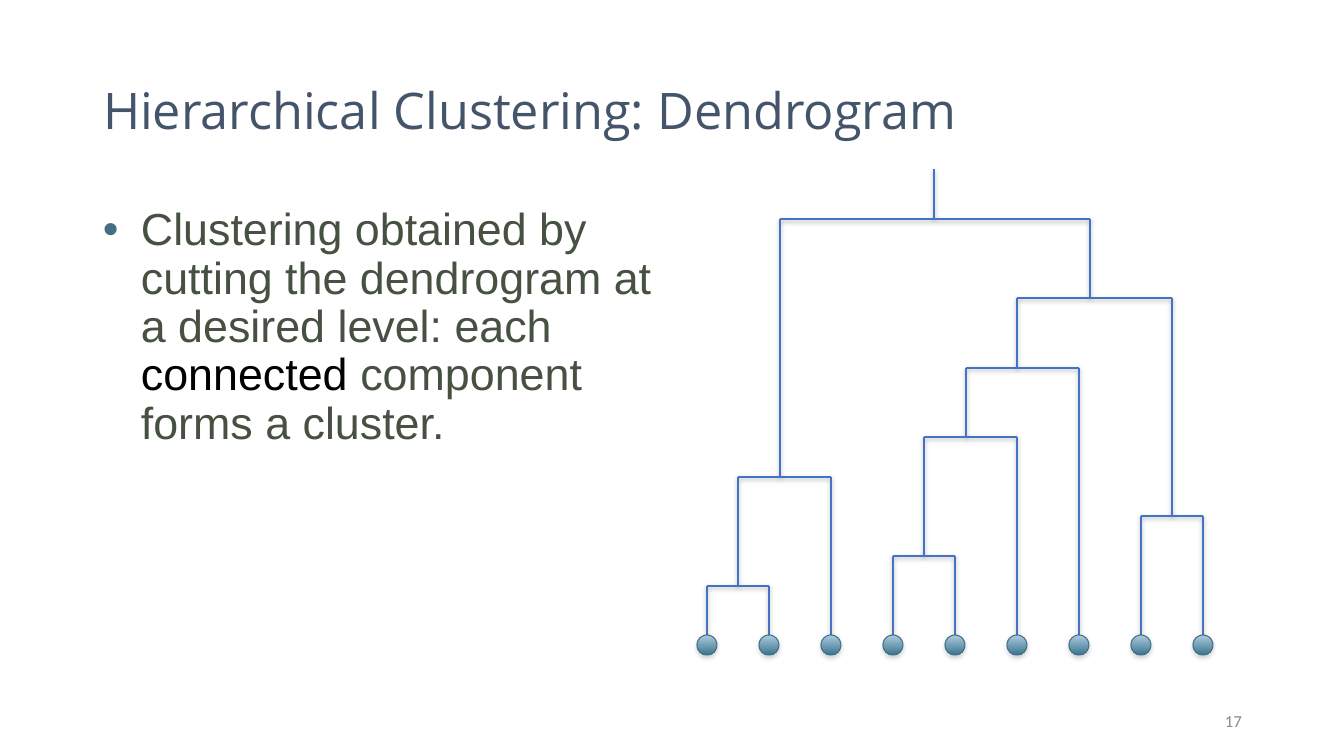
from dataclasses import dataclass

from lxml import etree
from pptx import Presentation
from pptx.dml.color import RGBColor
from pptx.enum.shapes import MSO_CONNECTOR, MSO_SHAPE
from pptx.enum.text import MSO_ANCHOR, MSO_AUTO_SIZE, PP_ALIGN
from pptx.oxml.ns import qn
from pptx.util import Emu, Pt

SCALE = 914400 / 100.8
LINE = MSO_CONNECTOR.STRAIGHT
OVAL = MSO_SHAPE.OVAL
TOP, MIDDLE = MSO_ANCHOR.TOP, MSO_ANCHOR.MIDDLE
LEFT, RIGHT = PP_ALIGN.LEFT, PP_ALIGN.RIGHT
FIXED = MSO_AUTO_SIZE.NONE

SLATE = RGBColor(0x44, 0x54, 0x6A)
GRAY = RGBColor(0x89, 0x89, 0x89)
OLIVE = RGBColor(0x46, 0x51, 0x42)
BLACK = RGBColor(0, 0, 0)
BLUE = RGBColor(0x44, 0x72, 0xC4)
PALE = RGBColor(0xAF, 0xCC, 0xDF)
TEAL = RGBColor(0x39, 0x74, 0x8F)
RIM = RGBColor(0x40, 0x6E, 0x84)
BULLET = RGBColor(0x43, 0x70, 0x85)
SHADE = RGBColor(0x80, 0x80, 0x80)

FLOOR = 635  # where branches meet the leaves
ROOT = 169   # top of the root stem
DOT = 20


@dataclass(frozen=True)
class Leaf:
    x: int
    y: int = FLOOR


@dataclass(frozen=True)
class Merge:
    left: "Leaf | Merge"
    right: "Leaf | Merge"
    x: int  # stem above the joint
    y: int


def px(num: float) -> Emu:
    return Emu(round(num * SCALE))


def shadow(shape, alpha: int, dist: float) -> None:
    """Cast a soft shadow straight down."""
    effects = etree.SubElement(shape._element.spPr, qn("a:effectLst"))
    outer = etree.SubElement(
        effects, qn("a:outerShdw"), blurRad=str(Pt(3.1)), dist=str(Pt(dist)),
        dir="5400000", rotWithShape="0")
    color = etree.SubElement(outer, qn("a:srgbClr"), val=str(SHADE))
    etree.SubElement(color, qn("a:alpha"), val=str(alpha * 1000))


def write(shape, parts: list, box: tuple, *, size: int, font: str,
          align=LEFT, anchor=MIDDLE, lead: float = 1.0, before: int = 0):
    """Place a text shape and fill it with (text, colour) parts."""
    shape.left, shape.top, shape.width, shape.height = map(px, box)
    frame = shape.text_frame
    frame.word_wrap, frame.auto_size = True, FIXED
    frame.vertical_anchor = anchor
    para = frame.paragraphs[0]
    para.alignment, para.line_spacing = align, lead
    para.space_before = Pt(before)
    for text, color in parts:
        run = para.add_run()
        run.text = text
        run.font.size, run.font.name = Pt(size), font
        run.font.color.rgb = color
    return para


def bullet(para, color: RGBColor, indent: int) -> None:
    props = para._p.get_or_add_pPr()
    props.set("marL", str(px(indent)))
    props.set("indent", str(-px(indent)))
    tint = etree.SubElement(props, qn("a:buClr"))
    etree.SubElement(tint, qn("a:srgbClr"), val=str(color))
    etree.SubElement(props, qn("a:buFont"), typeface="Arial")
    etree.SubElement(props, qn("a:buChar"), char="•")


def branch(shapes, x1: int, y1: int, x2: int, y2: int) -> None:
    line = shapes.add_connector(LINE, px(x1), px(y1), px(x2), px(y2))
    line.line.color.rgb, line.line.width = BLUE, Pt(2)
    shadow(line, 38, 1.6)


def grow(shapes, node: Leaf | Merge, top: int) -> None:
    """Draw the stem of a node, then all that hangs below it."""
    branch(shapes, node.x, top, node.x, node.y)
    if isinstance(node, Merge):
        branch(shapes, node.left.x, node.y, node.right.x, node.y)
        grow(shapes, node.left, node.y)
        grow(shapes, node.right, node.y)


def dot(shapes, leaf: Leaf) -> None:
    ball = shapes.add_shape(OVAL, px(leaf.x - DOT / 2), px(leaf.y), px(DOT), px(DOT))
    ball.fill.gradient()
    ball.fill.gradient_angle = 270
    for stop, color, place in zip(ball.fill.gradient_stops, (PALE, TEAL), (0, 1)):
        stop.color.rgb, stop.position = color, place
    ball.line.color.rgb, ball.line.width = RIM, Pt(0.75)
    shadow(ball, 35, 1.8)


# Slide and title
deck = Presentation()
deck.slide_width, deck.slide_height = px(1344), px(756)
slide = deck.slides.add_slide(deck.slide_layouts[5])
write(slide.shapes.title, [("Hierarchical Clustering: Dendrogram", SLATE)],
      (93, 40, 1159, 146), size=36, font="Open Sans", lead=0.9)

# Slide number
number = slide.shapes.add_textbox(0, 0, 0, 0)
write(number, [("17", GRAY)], (950, 701, 302, 40), size=12, font="Calibri", align=RIGHT)

# Dendrogram, built from the leaves up
leaves = [Leaf(707 + 62 * i) for i in range(9)]
pair = Merge(leaves[0], leaves[1], 738, 586)
west = Merge(pair, leaves[2], 780, 477)
core = Merge(leaves[3], leaves[4], 924, 556)
four = Merge(core, leaves[5], 966, 437)
five = Merge(four, leaves[6], 1017, 368)
edge = Merge(leaves[7], leaves[8], 1172, 516)
east = Merge(five, edge, 1090, 298)
root = Merge(west, east, 934, 219)

tree = slide.shapes.add_group_shape()
grow(tree.shapes, root, ROOT)
for leaf in leaves:
    dot(tree.shapes, leaf)

# Body text
body = slide.shapes.add_textbox(0, 0, 0, 0)
para = write(body, [
    ("Clustering obtained by cutting the dendrogram at a desired level: each ", OLIVE),
    ("connected", BLACK),
    (" component forms a cluster.", OLIVE),
], (93, 202, 572, 480), size=32, font="Arial", anchor=TOP, lead=0.9, before=5)
bullet(para, BULLET, 38)

deck.save("out.pptx")
